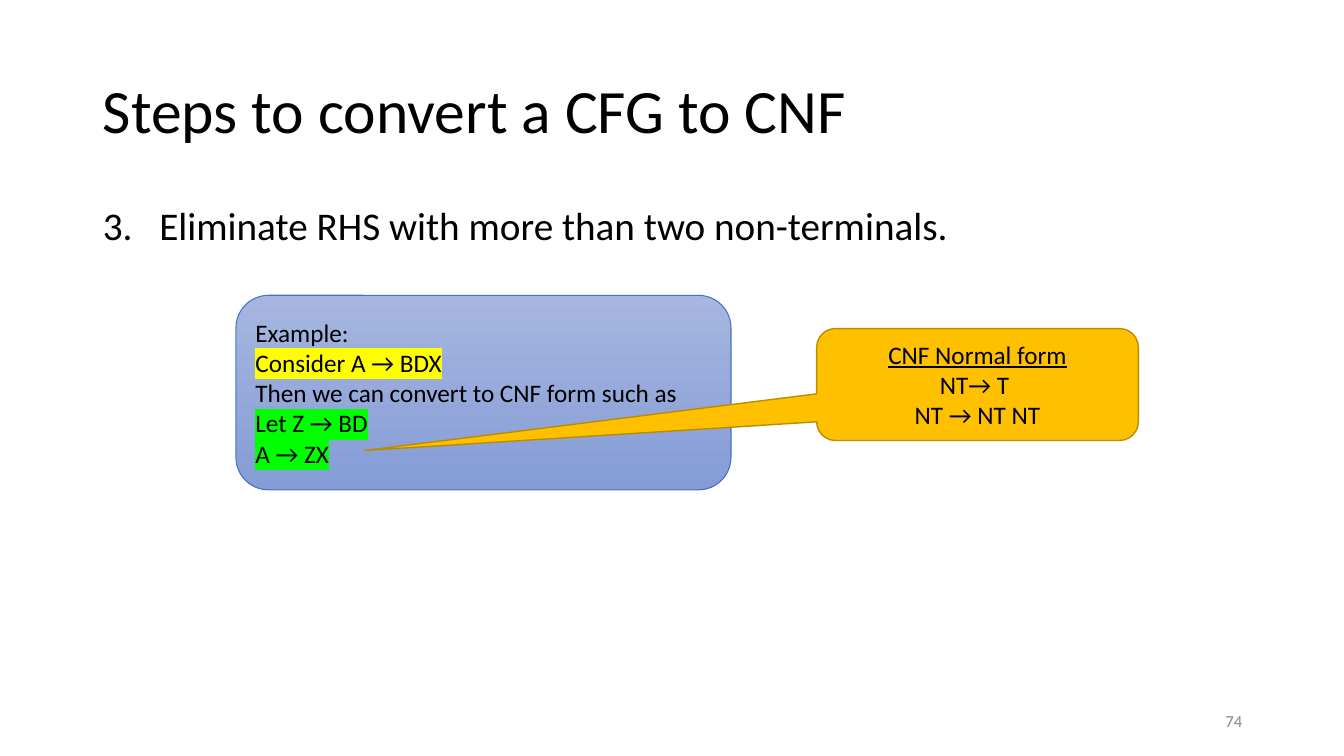
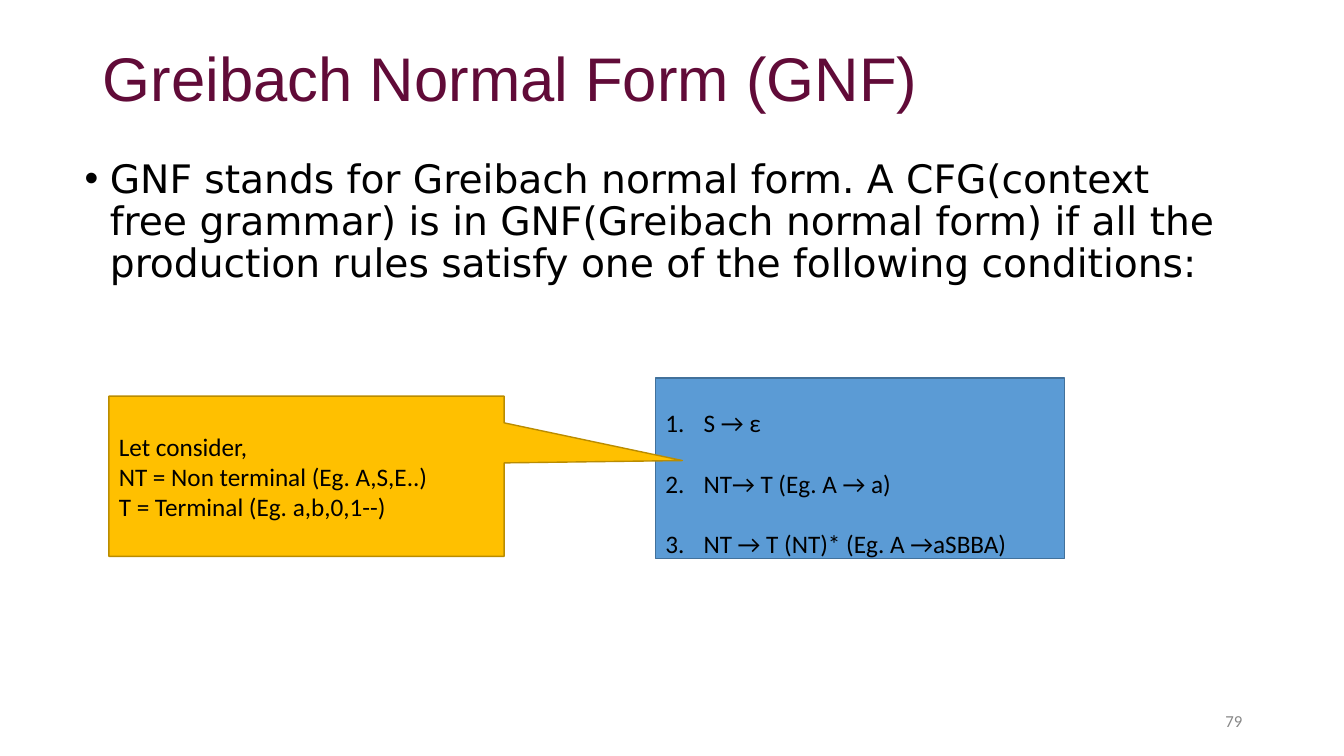
from dataclasses import dataclass

from lxml import etree
from pptx import Presentation
from pptx.dml.color import RGBColor
from pptx.enum.shapes import MSO_SHAPE
from pptx.enum.text import MSO_ANCHOR, MSO_AUTO_SIZE, PP_ALIGN
from pptx.oxml.ns import qn
from pptx.util import Inches, Pt

LEFT, CENTER, RIGHT = PP_ALIGN.LEFT, PP_ALIGN.CENTER, PP_ALIGN.RIGHT
TOP, MIDDLE = MSO_ANCHOR.TOP, MSO_ANCHOR.MIDDLE
TITLE_AND_CONTENT = 1


@dataclass(frozen=True)
class Theme:
    font: str = "Calibri"
    title_size: int = 44
    body_size: int = 28
    box_size: int = 18
    number_size: int = 12
    text: str = "000000"
    muted: str = "888888"
    plum: str = "610B38"
    yellow: str = "FFFF00"
    green: str = "00FF00"
    gold: str = "FFC000"
    gold_line: str = "BA8C00"
    blue: str = "5B9BD5"
    blue_line: str = "42719B"
    example_fill: tuple = ("A6B6DE", "859CD7")
    example_line: str = "4472C4"


THEME = Theme()
TITLE_AT = (0.92, 0.4, 11.5, 1.45)
NUMBER_AT = (9.42, 6.95, 3, 0.4)

SLIDES = [
    {
        "number": "74",
        "title": {"text": "Steps to convert a CFG to CNF"},
        "body": {
            "at": (0.92, 2, 11.5, 4.76),
            "text": "Eliminate RHS with more than two non-terminals.",
            "format": {"bullet": 3, "indent": 0.56},
        },
        "boxes": [
            {
                "kind": MSO_SHAPE.ROUNDED_RECTANGLE,
                "at": (2.34, 2.93, 4.91, 1.93),
                "adjustments": (0.167,),
                "fill": THEME.example_fill,
                "line": THEME.example_line,
                "line_width": 0.75,
                "lines": [
                    "Example:",
                    ("Consider A → BDX", {"highlight": THEME.yellow}),
                    "Then we can convert to CNF form such as",
                    ("Let Z → BD", {"highlight": THEME.green}),
                    ("A → ZX", {"highlight": THEME.green}),
                ],
            },
            {
                "kind": MSO_SHAPE.ROUNDED_RECTANGULAR_CALLOUT,
                "at": (8.1, 3.26, 3.19, 1.11),
                "adjustments": (-1.905, 0.59, 0.167),
                "fill": THEME.gold,
                "line": THEME.gold_line,
                "lines": [
                    ("CNF Normal form", {"underline": True}),
                    "NT→ T ",
                    "NT → NT NT",
                ],
                "format": {"align": CENTER},
            },
        ],
    },
    {
        "number": "79",
        "title": {
            "text": "Greibach Normal Form (GNF)",
            "format": {"font": "Arial", "color": THEME.plum},
            "bottom_inset": 0.68,
        },
        "body": {
            "at": (0.74, 1.53, 11.5, 4.76),
            "text": "GNF stands for Greibach normal form. A CFG(context free "
                    "grammar) is in GNF(Greibach normal form) if all the "
                    "production rules satisfy one of the following conditions:",
            "format": {"bullet": "•", "indent": 0.25, "font": "DejaVu Sans"},
        },
        "boxes": [
            {
                "kind": MSO_SHAPE.RECTANGLE,
                "at": (6.5, 3.75, 4.06, 1.79),
                "fill": THEME.blue,
                "line": THEME.blue_line,
                "lines": [
                    "S → ε",
                    "NT→ T (Eg. A → a)",
                    "NT → T (NT)* (Eg. A →aSBBA)",
                ],
                "format": {"bullet": 1, "indent": 0.38, "spacing": 2.0},
            },
            {
                "kind": MSO_SHAPE.RECTANGULAR_CALLOUT,
                "at": (1.08, 3.93, 3.92, 1.59),
                "adjustments": (0.951, -0.098),
                "fill": THEME.gold,
                "line": THEME.gold_line,
                "lines": [
                    "Let consider,",
                    "NT = Non terminal (Eg. A,S,E..)",
                    "T = Terminal (Eg. a,b,0,1--)",
                ],
            },
        ],
    },
]


def color_element(parent, tag, color):
    element = etree.SubElement(parent, qn(tag))
    etree.SubElement(element, qn("a:srgbClr"), val=color)
    return element


def set_bullet(paragraph, bullet, indent):
    """Give a paragraph a bullet character, or numbering from an integer."""
    properties = paragraph._p.get_or_add_pPr()
    properties.set("marL", str(Inches(indent)))
    properties.set("indent", str(-Inches(indent)))
    color_element(properties, "a:buClr", THEME.text)
    if isinstance(bullet, int):
        etree.SubElement(properties, qn("a:buFont"), typeface=THEME.font)
        etree.SubElement(properties, qn("a:buAutoNum"),
                         type="arabicPeriod", startAt=str(bullet))
    else:
        etree.SubElement(properties, qn("a:buFont"), typeface="Arial")
        etree.SubElement(properties, qn("a:buChar"), char=bullet)


def write_line(paragraph, text, *, size=THEME.box_size, font=THEME.font,
               color=THEME.text, align=LEFT, spacing=1.0, underline=None,
               highlight=None, bullet=None, indent=0):
    paragraph.alignment = align
    paragraph.line_spacing = spacing
    paragraph.space_before = paragraph.space_after = Pt(0)
    if bullet is not None:
        set_bullet(paragraph, bullet, indent)
    run = paragraph.add_run()
    run.text = text
    run.font.size = Pt(size)
    run.font.name = font
    run.font.underline = underline
    run.font.color.rgb = RGBColor.from_string(color)
    if highlight:
        properties = run._r.get_or_add_rPr()
        mark = color_element(properties, "a:highlight", highlight)
        properties.find(qn("a:solidFill")).addnext(mark)


def write_text(shape, lines, anchor=MIDDLE, bottom_inset=0.05, **text_format):
    """Fill a shape with lines: plain text, or (text, own format) pairs."""
    frame = shape.text_frame
    frame.word_wrap = True
    frame.auto_size = MSO_AUTO_SIZE.NONE
    frame.vertical_anchor = anchor
    frame.margin_left = frame.margin_right = Inches(0.1)
    frame.margin_top = Inches(0.05)
    frame.margin_bottom = Inches(bottom_inset)
    for index, line in enumerate(lines):
        text, own_format = (line, {}) if isinstance(line, str) else line
        paragraph = frame.add_paragraph() if index else frame.paragraphs[0]
        write_line(paragraph, text, **{**text_format, **own_format})


def place(shape, at):
    shape.left, shape.top, shape.width, shape.height = map(Inches, at)


def add_box(slide, box):
    shape = slide.shapes.add_shape(box["kind"], *map(Inches, box["at"]))
    shape.shadow.inherit = False
    for index, value in enumerate(box.get("adjustments", ())):
        shape.adjustments[index] = value
    fill = box["fill"]
    if isinstance(fill, tuple):
        shape.fill.gradient()
        shape.fill.gradient_angle = 270
        for stop, color in zip(shape.fill.gradient_stops, fill):
            stop.color.rgb = RGBColor.from_string(color)
    else:
        shape.fill.solid()
        shape.fill.fore_color.rgb = RGBColor.from_string(fill)
    shape.line.color.rgb = RGBColor.from_string(box["line"])
    shape.line.width = Pt(box.get("line_width", 1))
    write_text(shape, box["lines"], **box.get("format", {}))


def add_slide(presentation, content):
    layout = presentation.slide_layouts[TITLE_AND_CONTENT]
    slide = presentation.slides.add_slide(layout)

    title = content["title"]
    place(slide.shapes.title, TITLE_AT)
    write_text(slide.shapes.title, [title["text"]], size=THEME.title_size,
               spacing=0.9, bottom_inset=title.get("bottom_inset", 0.05),
               **title.get("format", {}))

    body = content["body"]
    body_shape = slide.placeholders[1]
    place(body_shape, body["at"])
    write_text(body_shape, [body["text"]], anchor=TOP, size=THEME.body_size,
               spacing=0.9, **body["format"])

    for box in content["boxes"]:
        add_box(slide, box)

    number = slide.shapes.add_textbox(*map(Inches, NUMBER_AT))
    write_text(number, [content["number"]], size=THEME.number_size,
               color=THEME.muted, align=RIGHT)


def main():
    presentation = Presentation()
    presentation.slide_width = Inches(13.33)
    presentation.slide_height = Inches(7.5)
    for content in SLIDES:
        add_slide(presentation, content)
    presentation.save("out.pptx")


if __name__ == "__main__":
    main()
